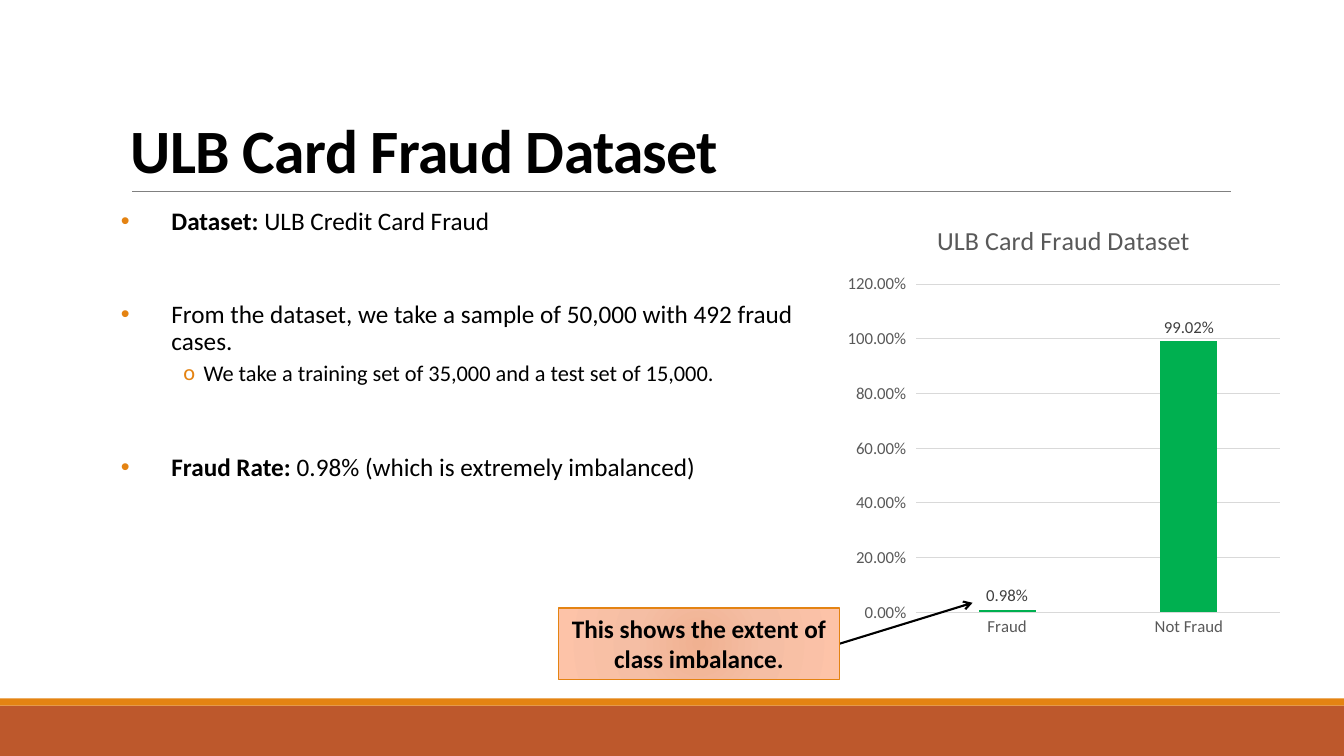
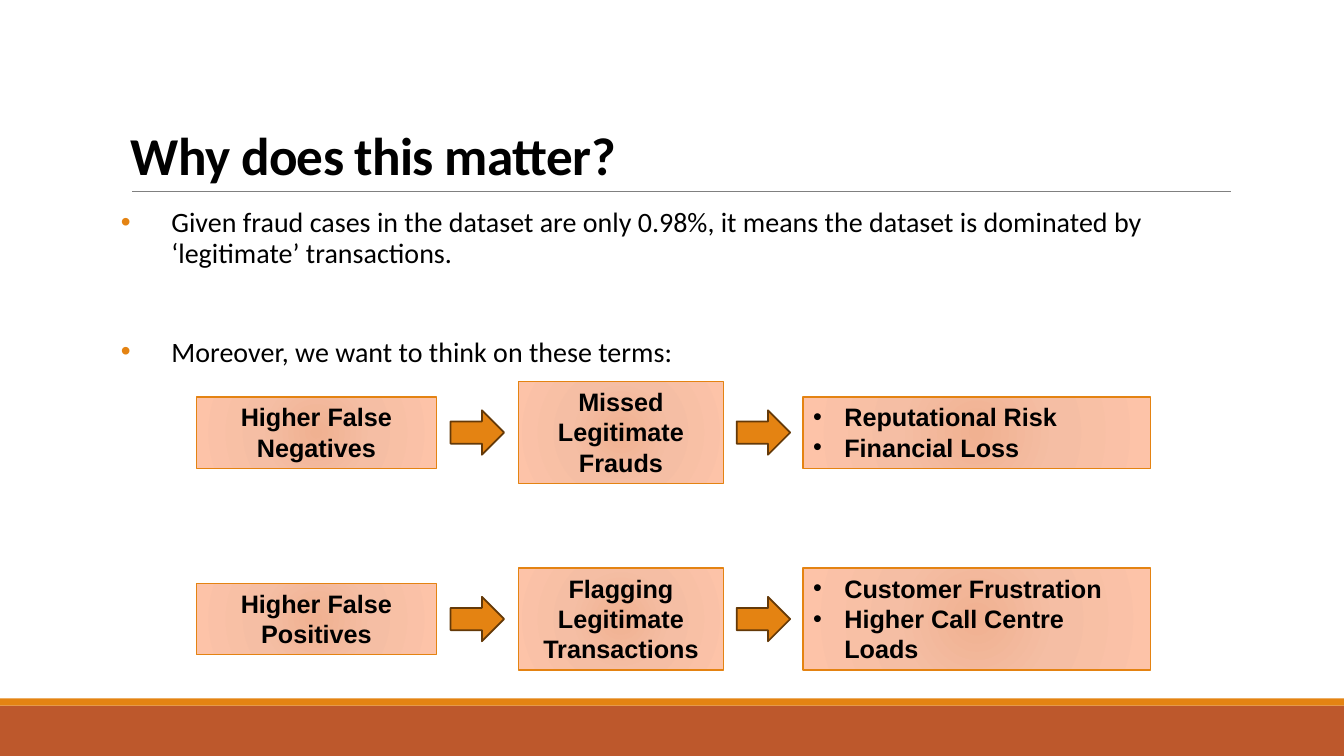
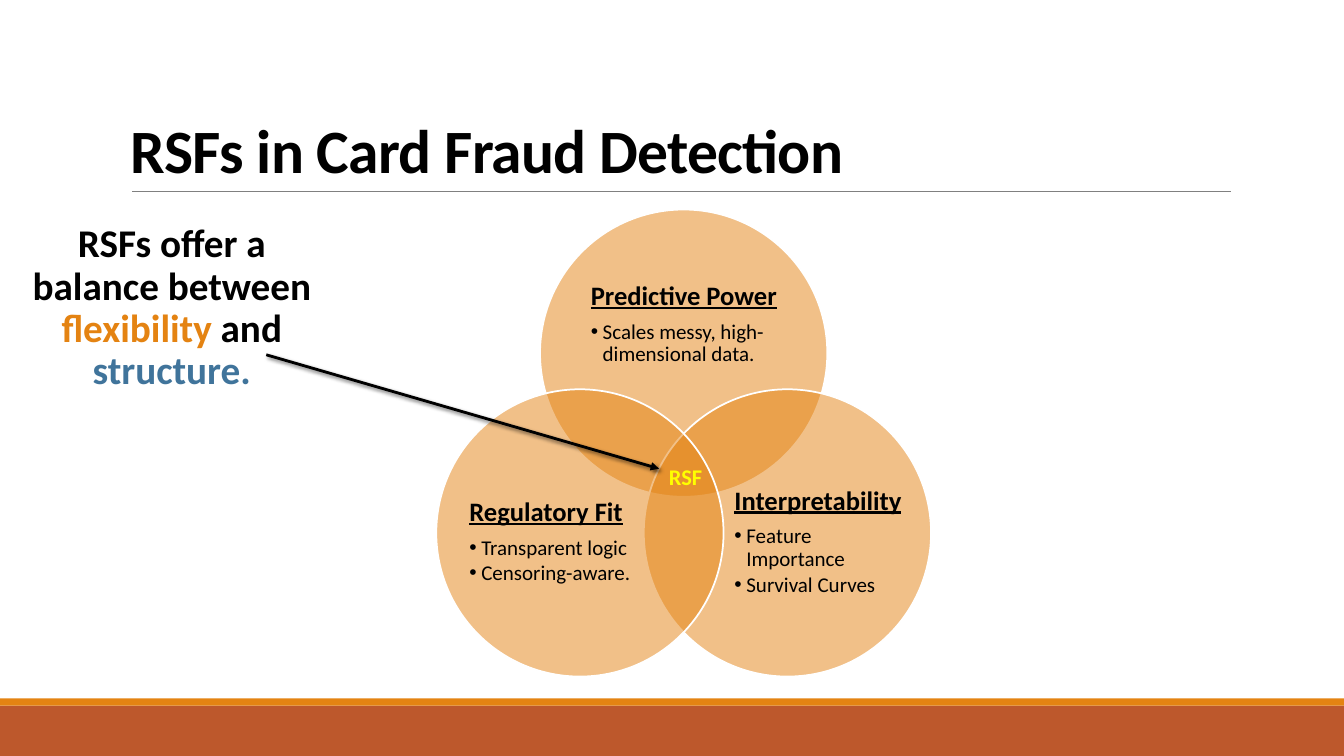
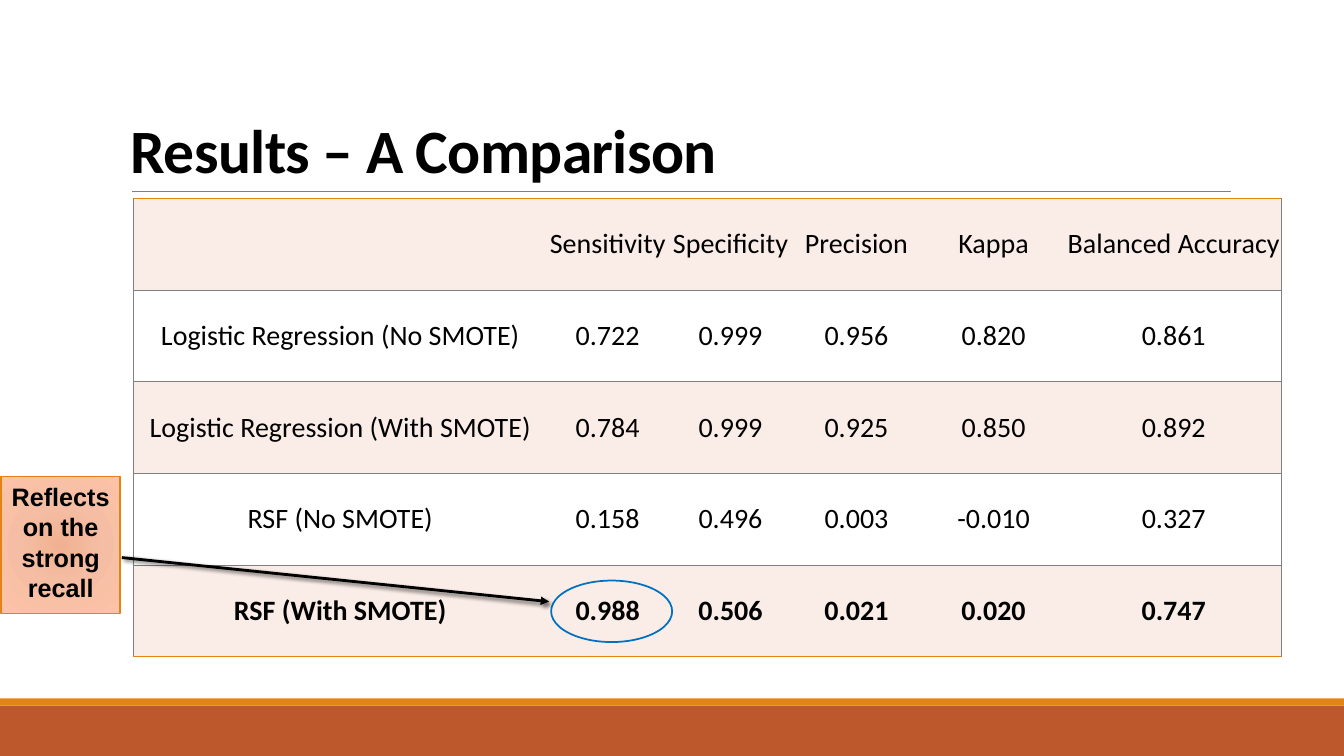
from math import cos, radians, sin

from pptx import Presentation
from pptx.chart.data import CategoryChartData
from pptx.dml.color import RGBColor
from pptx.enum.chart import XL_CHART_TYPE, XL_LABEL_POSITION, XL_TICK_MARK
from pptx.enum.shapes import MSO_CONNECTOR, MSO_SHAPE
from pptx.enum.text import MSO_ANCHOR, MSO_AUTO_SIZE, PP_ALIGN
from pptx.oxml import parse_xml
from pptx.oxml.ns import nsdecls, qn
from pptx.util import Cm, Pt

# Shared style
COLORS = {
    "black": "000000", "white": "FFFFFF", "orange": "E48312", "rust": "BD582C",
    "rule": "808080", "arrow edge": "643908", "pale": "FAEDE7", "blue": "40749B",
    "yellow": "FFFF00", "ring": "0070C0", "bar": "00B050", "grid": "D9D9D9",
    "chart text": "595959", "label text": "404040",
    "glow inner": "F0B191", "glow middle": "F5BEA4", "glow outer": "FDC3A8",
}
FONT = "Calibri"
BOX_FONT = "Arial"
BULLET_FONTS = {"•": "Arial", "o": "Calibri"}
SLIDE_SIZE = (33.87, 19.05)
TITLE_BOX = (3.05, 0.79, 27.94, 4.04)

# Slide 1: dataset
BULLET = dict(bullet="•", bullet_color="orange", indent=(1.27, -1.27),
              line_spacing=0.9, before=12, after=2)
SUB_BULLET = dict(BULLET, bullet="o", indent=(2.08, -0.51), size=16, before=2, after=4)
DATASET_POINTS = [
    ([("Dataset:", {"bold": True}), (" ULB Credit Card Fraud", {})], BULLET),
    ("From the dataset, we take a sample of 50,000 with 492 fraud cases.",
     dict(BULLET, before=45)),
    ("We take a training set of 35,000 and a test set of 15,000.", SUB_BULLET),
    ([("Fraud Rate: ", {"bold": True}), ("0.98% (which is extremely imbalanced)", {})],
     dict(BULLET, before=45)),
]
CHART_TITLE = "ULB Card Fraud Dataset"
CLASS_SHARES = {"Fraud": 0.0098, "Not Fraud": 0.9902}

# Slide 2: consequences
MATTER_POINTS = [
    ("Given fraud cases in the dataset are only 0.98%, it means the dataset is dominated by "
     "‘legitimate’ transactions.", dict(BULLET, size=20)),
    ("Moreover, we want to think on these terms:", dict(BULLET, size=20, before=47)),
]
TWO_LINES, THREE_LINES = 1.8, 2.57
FLOW_COLUMNS = [(4.95, 6.05), (13.06, 5.18), (20.24, 8.76)]  # left, width
FLOW_ROWS = [  # centre height, then text and box height
    (10.9, [("Higher False Negatives", TWO_LINES),
            ("Missed Legitimate Frauds", THREE_LINES),
            (["Reputational Risk", "Financial Loss"], TWO_LINES)]),
    (15.6, [("Higher False Positives", TWO_LINES),
            ("Flagging Legitimate Transactions", THREE_LINES),
            (["Customer Frustration", "Higher Call Centre Loads"], THREE_LINES)]),
]
FLOW_ARROW = (1.35, 1.12)

# Slide 3: Venn diagram
VENN_CENTER = (17.23, 11.92)
VENN_RADIUS, VENN_DIAMETER = 3.02, 7.24
VENN = [  # angle, text area, heading, points
    (-90, (14.89, 6.55, 5, 3.25), "Predictive Power",
     ["Scales messy, high-dimensional data."]),
    (30, (18.51, 11.66, 4.34, 3.99), "Interpretability",
     ["Feature Importance", "Survival Curves"]),
    (150, (11.83, 11.66, 4.34, 3.99), "Regulatory Fit",
     ["Transparent logic", "Censoring-aware."]),
]
BALANCE = [
    ("RSFs offer a balance between ", {}),
    ("flexibility ", {"color": "orange"}),
    ("and ", {}),
    ("structure.", {"color": "blue"}),
]

# Slide 4: results
RESULTS = [
    ["", "Sensitivity", "Specificity", "Precision", "Kappa", "Balanced Accuracy"],
    ["Logistic Regression (No SMOTE)", "0.722", "0.999", "0.956", "0.820", "0.861"],
    ["Logistic Regression (With SMOTE)", "0.784", "0.999", "0.925", "0.850", "0.892"],
    ["RSF (No SMOTE)", "0.158", "0.496", "0.003", "-0.010", "0.327"],
    ["RSF (With SMOTE)", "0.988", "0.506", "0.021", "0.020", "0.747"],
]
RESULT_WIDTHS = [10.41, 3.07, 3.12, 3.23, 3.68, 5.4]
RESULT_ROW_HEIGHT = 2.31


def rgb(name):
    return RGBColor.from_string(COLORS[name])


def lengths(values):
    return [Cm(value) for value in values]


def set_font(font, size, color="black", bold=False, underline=False, name=FONT):
    font.name, font.size, font.bold, font.underline = name, Pt(size), bold, underline
    font.color.rgb = rgb(color)


def write(frame, text, size=18, align=PP_ALIGN.LEFT, line_spacing=None, before=0, after=0,
          indent=None, bullet=None, bullet_color=None, tracking=None, **font):
    """Add one paragraph; text is a string or a list of (text, font changes)."""
    paragraph = frame.paragraphs[0]
    if paragraph.runs:
        paragraph = frame.add_paragraph()
    paragraph.alignment = align
    paragraph.space_before, paragraph.space_after = Pt(before), Pt(after)
    if line_spacing:
        paragraph.line_spacing = line_spacing
    properties = paragraph._p.get_or_add_pPr()
    if indent:
        properties.set("marL", str(Cm(indent[0])))
        properties.set("indent", str(Cm(indent[1])))
    if bullet_color:
        properties.append(parse_xml(
            f'<a:buClr {nsdecls("a")}><a:srgbClr val="{COLORS[bullet_color]}"/></a:buClr>'))
    if bullet:
        properties.append(parse_xml(
            f'<a:buFont {nsdecls("a")} typeface="{BULLET_FONTS[bullet]}"/>'))
        properties.append(parse_xml(f'<a:buChar {nsdecls("a")} char="{bullet}"/>'))
    for words, changes in [(text, {})] if isinstance(text, str) else text:
        run = paragraph.add_run()
        run.text = words
        set_font(run.font, **{"size": size, **font, **changes})
        if tracking:
            run.font._element.set("spc", str(tracking))


def add_text_box(slide, box, insets=(0.25, 0.13), anchor=MSO_ANCHOR.TOP):
    frame = slide.shapes.add_textbox(*lengths(box)).text_frame
    frame.word_wrap = True
    frame.vertical_anchor = anchor
    frame.margin_left = frame.margin_right = Cm(insets[0])
    frame.margin_top = frame.margin_bottom = Cm(insets[1])
    return frame


def add_shape(slide, kind, box, fill=None, line=None, width=1.0):
    shape = slide.shapes.add_shape(kind, *lengths(box))
    shape.shadow.inherit = False
    if fill:
        shape.fill.solid()
        shape.fill.fore_color.rgb = rgb(fill)
    else:
        shape.fill.background()
    if line:
        shape.line.color.rgb = rgb(line)
        shape.line.width = Pt(width)
    else:
        shape.line.fill.background()
    return shape


def add_glow_box(slide, box, text, font=BOX_FONT):
    """Outlined box with a radial gradient; a list of texts becomes bullets."""
    shape = add_shape(slide, MSO_SHAPE.RECTANGLE, box, line="orange")
    stops = "".join(
        f'<a:gs pos="{position}"><a:srgbClr val="{COLORS[color]}"/></a:gs>'
        for position, color in [(0, "glow inner"), (45000, "glow middle"), (100000, "glow outer")])
    properties = shape._element.spPr
    properties.replace(properties.find(qn("a:noFill")), parse_xml(
        f'<a:gradFill {nsdecls("a")} rotWithShape="1"><a:gsLst>{stops}</a:gsLst>'
        '<a:path path="circle"><a:fillToRect l="100000" t="100000" r="100000" b="100000"/>'
        '</a:path></a:gradFill>'))
    frame = shape.text_frame
    frame.word_wrap = True
    frame.vertical_anchor = MSO_ANCHOR.TOP
    frame.auto_size = MSO_AUTO_SIZE.SHAPE_TO_FIT_TEXT
    if isinstance(text, str):
        write(frame, text, align=PP_ALIGN.CENTER, bold=True, name=font)
    else:
        for item in text:
            write(frame, item, bullet="•", indent=(0.79, -0.79), bold=True, name=font)
    return shape


def add_line(slide, start, end, color="black", width=2.0, head=None, shadow=False):
    line = slide.shapes.add_connector(MSO_CONNECTOR.STRAIGHT, *lengths(start + end))
    line.line.color.rgb = rgb(color)
    line.line.width = Pt(width)
    if head:
        line.line._get_or_add_ln().append(
            parse_xml(f'<a:tailEnd {nsdecls("a")} type="{head}"/>'))
    effect = (f'<a:outerShdw blurRad="{Pt(3)}" dist="{Pt(2)}" dir="2700000" rotWithShape="0">'
              f'<a:srgbClr val="{COLORS["black"]}"><a:alpha val="60000"/></a:srgbClr>'
              '</a:outerShdw>') if shadow else ""
    line._element.spPr.append(
        parse_xml(f'<a:effectLst {nsdecls("a")}>{effect}</a:effectLst>'))
    return line


def add_slide(presentation, title, size=44):
    """Blank slide with the bands, the title rule and the title."""
    slide = presentation.slides.add_slide(presentation.slide_layouts[6])
    add_shape(slide, MSO_SHAPE.RECTANGLE, (0, 17.78, SLIDE_SIZE[0], 1.27), "rust")
    add_shape(slide, MSO_SHAPE.RECTANGLE, (0, 17.6, SLIDE_SIZE[0], 0.18), "orange")
    add_line(slide, (3.33, 4.83), (31.01, 4.83), "rule", 0.5)
    frame = add_text_box(slide, TITLE_BOX, anchor=MSO_ANCHOR.BOTTOM)
    write(frame, title, size=size, bold=True, line_spacing=0.85, tracking=-50)
    return slide


def add_points(slide, box, points):
    frame = add_text_box(slide, box, insets=(0, 0.13))
    for text, style in points:
        write(frame, text, **style)


def add_share_chart(slide, box):
    data = CategoryChartData(number_format="0.00%")
    data.categories = list(CLASS_SHARES)
    data.add_series(CHART_TITLE, list(CLASS_SHARES.values()))
    chart = slide.shapes.add_chart(XL_CHART_TYPE.COLUMN_CLUSTERED, *lengths(box), data).chart
    set_font(chart.font, 10)
    chart.has_legend = False
    chart.has_title = True
    write(chart.chart_title.text_frame, CHART_TITLE, size=18.6, align=PP_ALIGN.CENTER,
          color="chart text")

    # Axes
    category_axis, value_axis = chart.category_axis, chart.value_axis
    for axis in (category_axis, value_axis):
        set_font(axis.tick_labels.font, 12, "chart text")
    category_axis.major_tick_mark = XL_TICK_MARK.NONE
    value_axis.minimum_scale, value_axis.maximum_scale = 0, 1.2
    value_axis.major_unit = 0.2
    value_axis.tick_labels.number_format = "0.00%"
    value_axis.tick_labels.number_format_is_linked = False
    value_axis.format.line.fill.background()
    for line in (category_axis.format.line, value_axis.major_gridlines.format.line):
        line.color.rgb = rgb("grid")
        line.width = Pt(0.75)

    # Bars and labels
    plot = chart.plots[0]
    plot.gap_width, plot.overlap, plot.vary_by_categories = 219, -27, False
    fill = plot.series[0].format.fill
    fill.solid()
    fill.fore_color.rgb = rgb("bar")
    plot.has_data_labels = True
    labels = plot.data_labels
    labels.show_value = True
    labels.position = XL_LABEL_POSITION.OUTSIDE_END
    labels.number_format, labels.number_format_is_linked = "0.00%", False
    set_font(labels.font, 12, "label text")


def set_cell_borders(cell, borders):
    """Draw the sides given as {side: (color, width)} and clear the others."""
    properties = cell._tc.get_or_add_tcPr()
    for index, side in enumerate("LRTB"):
        color, width = borders.get(side, (None, 1))
        paint = (f'<a:solidFill><a:srgbClr val="{COLORS[color]}"/></a:solidFill>'
                 if color else "<a:noFill/>")
        properties.insert(index, parse_xml(
            f'<a:ln{side} {nsdecls("a")} w="{Pt(width)}">{paint}</a:ln{side}>'))


def add_results_table(slide, left, top):
    last_row, last_column = len(RESULTS) - 1, len(RESULT_WIDTHS) - 1
    box = (left, top, sum(RESULT_WIDTHS), RESULT_ROW_HEIGHT * len(RESULTS))
    table = slide.shapes.add_table(last_row + 1, last_column + 1, *lengths(box)).table
    table.first_row = table.horz_banding = False
    thick, thin = ("orange", 1), ("rule", 0.5)
    for column, width in zip(table.columns, RESULT_WIDTHS):
        column.width = Cm(width)
    for row_index, values in enumerate(RESULTS):
        table.rows[row_index].height = Cm(RESULT_ROW_HEIGHT)
        for column_index, value in enumerate(values):
            cell = table.cell(row_index, column_index)
            cell.margin_left = cell.margin_right = cell.margin_top = cell.margin_bottom = 0
            cell.vertical_anchor = MSO_ANCHOR.MIDDLE
            cell.fill.solid()
            cell.fill.fore_color.rgb = rgb("white" if row_index % 2 else "pale")
            borders = {"T": thin if row_index else thick,
                       "B": thin if row_index < last_row else thick}
            if column_index in (0, last_column):
                borders["R" if column_index else "L"] = thin
            set_cell_borders(cell, borders)
            if value:
                write(cell.text_frame, value, size=20, align=PP_ALIGN.CENTER,
                      bold=row_index == last_row)


def build_dataset(presentation):
    slide = add_slide(presentation, "ULB Card Fraud Dataset")
    add_points(slide, (3.05, 5.13, 18.08, 11.18), DATASET_POINTS)
    add_share_chart(slide, (21.13, 5.11, 11.35, 11.15))
    arrow = add_line(slide, (21.16, 16.22), (24.51, 15.19), width=1.5, head="arrow")
    callout = add_glow_box(slide, (14.07, 15.32, 7.09, TWO_LINES),
                           "This shows the extent of class imbalance.", font=FONT)
    arrow.begin_connect(callout, 3)


def build_consequences(presentation):
    slide = add_slide(presentation, "Why does this matter?", size=38)
    add_points(slide, (3.05, 5.13, 27.76, 11.18), MATTER_POINTS)
    arrow_width, arrow_height = FLOW_ARROW
    for middle, boxes in FLOW_ROWS:
        for (left, width), (text, height) in zip(FLOW_COLUMNS, boxes):
            add_glow_box(slide, (left, middle - height / 2, width, height), text)
        for (left, width), (next_left, _) in zip(FLOW_COLUMNS, FLOW_COLUMNS[1:]):
            center = (left + width + next_left) / 2
            add_shape(slide, MSO_SHAPE.RIGHT_ARROW,
                      (center - arrow_width / 2, middle - arrow_height / 2, *FLOW_ARROW),
                      "orange", "arrow edge", 1.25)


def build_venn(presentation):
    slide = add_slide(presentation, "RSFs in Card Fraud Detection")
    for angle, area, heading, points in VENN:
        left = VENN_CENTER[0] + VENN_RADIUS * cos(radians(angle)) - VENN_DIAMETER / 2
        top = VENN_CENTER[1] + VENN_RADIUS * sin(radians(angle)) - VENN_DIAMETER / 2
        circle = add_shape(slide, MSO_SHAPE.OVAL, (left, top, VENN_DIAMETER, VENN_DIAMETER),
                           "orange", "white", 1.25)
        color = circle._element.spPr.find(qn("a:solidFill"))[0]
        color.append(parse_xml(f'<a:alpha {nsdecls("a")} val="50000"/>'))
        frame = add_text_box(slide, area, insets=(0, 0), anchor=MSO_ANCHOR.MIDDLE)
        write(frame, heading, size=19, bold=True, underline=True, line_spacing=0.9, after=7)
        for point in points:
            write(frame, point, size=15, bullet="•", indent=(0.3, -0.3),
                  line_spacing=0.9, after=2)

    # Overlap label and the message pointing at it
    overlap = add_text_box(slide, (16.61, 11.53, 2.01, 0.94))
    write(overlap, "RSF", size=16, bold=True, color="yellow")
    add_line(slide, (6.71, 8.94), (16.61, 11.81), head="triangle", shadow=True)
    message = add_text_box(slide, (0.5, 5.64, 7.66, 7.19), insets=(0, 0))
    write(message, BALANCE, size=28, bold=True, align=PP_ALIGN.CENTER,
          line_spacing=0.9, before=12, after=2)


def build_results(presentation):
    slide = add_slide(presentation, "Results – A Comparison")
    add_results_table(slide, 3.37, 5)
    add_shape(slide, MSO_SHAPE.OVAL, (13.89, 14.63, 3.05, 1.55), line="ring", width=1.25)
    add_line(slide, (3.07, 14.05), (13.84, 15.16), head="triangle", shadow=True)
    add_glow_box(slide, (0.03, 12.01, 3, 3.45), "Reflects on the strong recall")


def main():
    presentation = Presentation()
    presentation.slide_width, presentation.slide_height = lengths(SLIDE_SIZE)
    for build in (build_dataset, build_consequences, build_venn, build_results):
        build(presentation)
    presentation.save("out.pptx")


if __name__ == "__main__":
    main()
